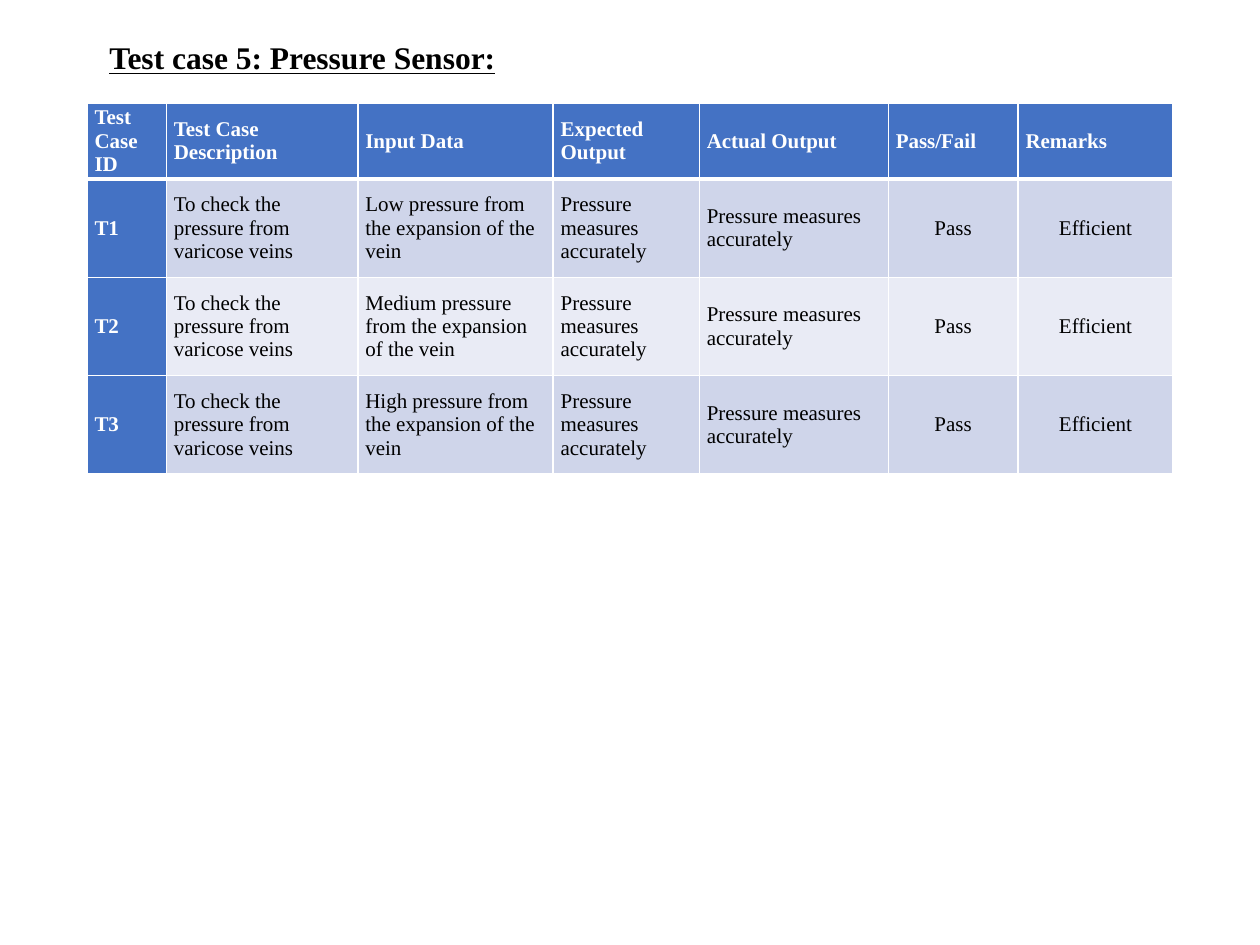
from dataclasses import dataclass

import pptx
import pptx.dml.color
import pptx.enum.text
import pptx.oxml
import pptx.oxml.ns
import pptx.util
from pptx.dml.color import RGBColor
from pptx.util import Inches

WHITE = RGBColor(0xFF, 0xFF, 0xFF)
BLACK = RGBColor(0x00, 0x00, 0x00)
BLUE = RGBColor(0x44, 0x72, 0xC4)
DARK = RGBColor(0xCF, 0xD5, 0xEA)
LIGHT = RGBColor(0xE9, 0xEB, 0xF5)
FONT = "Times New Roman"
ALIGN = pptx.enum.text.PP_ALIGN
MIDDLE = pptx.enum.text.MSO_ANCHOR.MIDDLE


@dataclass
class Column:
    head: str
    width: float
    center: bool = False


@dataclass
class Case:
    name: str
    level: str

    def texts(self) -> list[str]:
        result = "Pressure measures accurately"
        return [
            self.name,
            "To check the pressure from varicose veins",
            f"{self.level} pressure from the expansion of the vein",
            result,
            result,
            "Pass",
            "Efficient",
        ]


COLUMNS = [
    Column("Test Case ID", 0.63),
    Column("Test Case Description", 1.52),
    Column("Input Data", 1.55),
    Column("Expected Output", 1.16),
    Column("Actual Output", 1.5),
    Column("Pass/Fail", 1.03, True),
    Column("Remarks", 1.23, True),
]
CASES = [Case("T1", "Low"), Case("T2", "Medium"), Case("T3", "High")]
HEIGHTS = [0.6] + [0.78] * len(CASES)


def set_font(para, size: float, color: RGBColor, bold: bool) -> None:
    font = para.font
    font.name = FONT
    font.size = pptx.util.Pt(size)
    font.bold = bold
    font.color.rgb = color


def add_edge(cell, index: int, side: str, width: float) -> None:
    """Put one white border line ahead of the cell's fill."""
    line = pptx.oxml.parse_xml(
        f'<a:ln{side} {pptx.oxml.ns.nsdecls("a")} w="{pptx.util.Pt(width)}">'
        f'<a:solidFill><a:srgbClr val="{WHITE}"/></a:solidFill></a:ln{side}>'
    )
    cell._tc.get_or_add_tcPr().insert(index, line)


def fill_cell(cell, text: str, row: int, col: int) -> None:
    head = row == 0
    strong = head or col == 0
    cell.text = text
    cell.vertical_anchor = MIDDLE
    cell.margin_left = cell.margin_right = Inches(0.06)
    cell.margin_top = cell.margin_bottom = 0
    cell.fill.solid()
    band = DARK if row % 2 else LIGHT
    cell.fill.fore_color.rgb = BLUE if strong else band

    para = cell.text_frame.paragraphs[0]
    set_font(para, 12, WHITE if strong else BLACK, strong)
    if COLUMNS[col].center and not head:
        para.alignment = ALIGN.CENTER

    # The rule under the header is thicker than the rest
    widths = {"L": 1, "R": 1, "T": 3 if row == 1 else 1, "B": 3 if head else 1}
    for index, (side, width) in enumerate(widths.items()):
        add_edge(cell, index, side, width)


def add_title(slide) -> None:
    box = slide.shapes.add_textbox(
        Inches(0.77), Inches(0.29), Inches(8.62), Inches(0.45)
    )
    box.text_frame.word_wrap = True
    para = box.text_frame.paragraphs[0]
    para.text = "Test case 5: Pressure Sensor:"
    para.line_spacing = 0.9
    para.space_before = pptx.util.Pt(10)
    set_font(para, 18, BLACK, True)
    para.font.underline = True


def add_cases(slide) -> None:
    rows = [[col.head for col in COLUMNS]] + [case.texts() for case in CASES]
    table = slide.shapes.add_table(
        len(rows), len(COLUMNS),
        Inches(0.69), Inches(0.82), Inches(8.62), Inches(sum(HEIGHTS)),
    ).table
    for col, spec in zip(table.columns, COLUMNS):
        col.width = Inches(spec.width)
    for row, height in zip(table.rows, HEIGHTS):
        row.height = Inches(height)
    for r, texts in enumerate(rows):
        for c, text in enumerate(texts):
            fill_cell(table.cell(r, c), text, r, c)


def main() -> None:
    deck = pptx.Presentation()
    deck.slide_width = Inches(10)
    deck.slide_height = Inches(7.5)
    slide = deck.slides.add_slide(deck.slide_layouts[6])

    # Heading, then the test table
    add_title(slide)
    add_cases(slide)
    deck.save("out.pptx")


if __name__ == "__main__":
    main()
